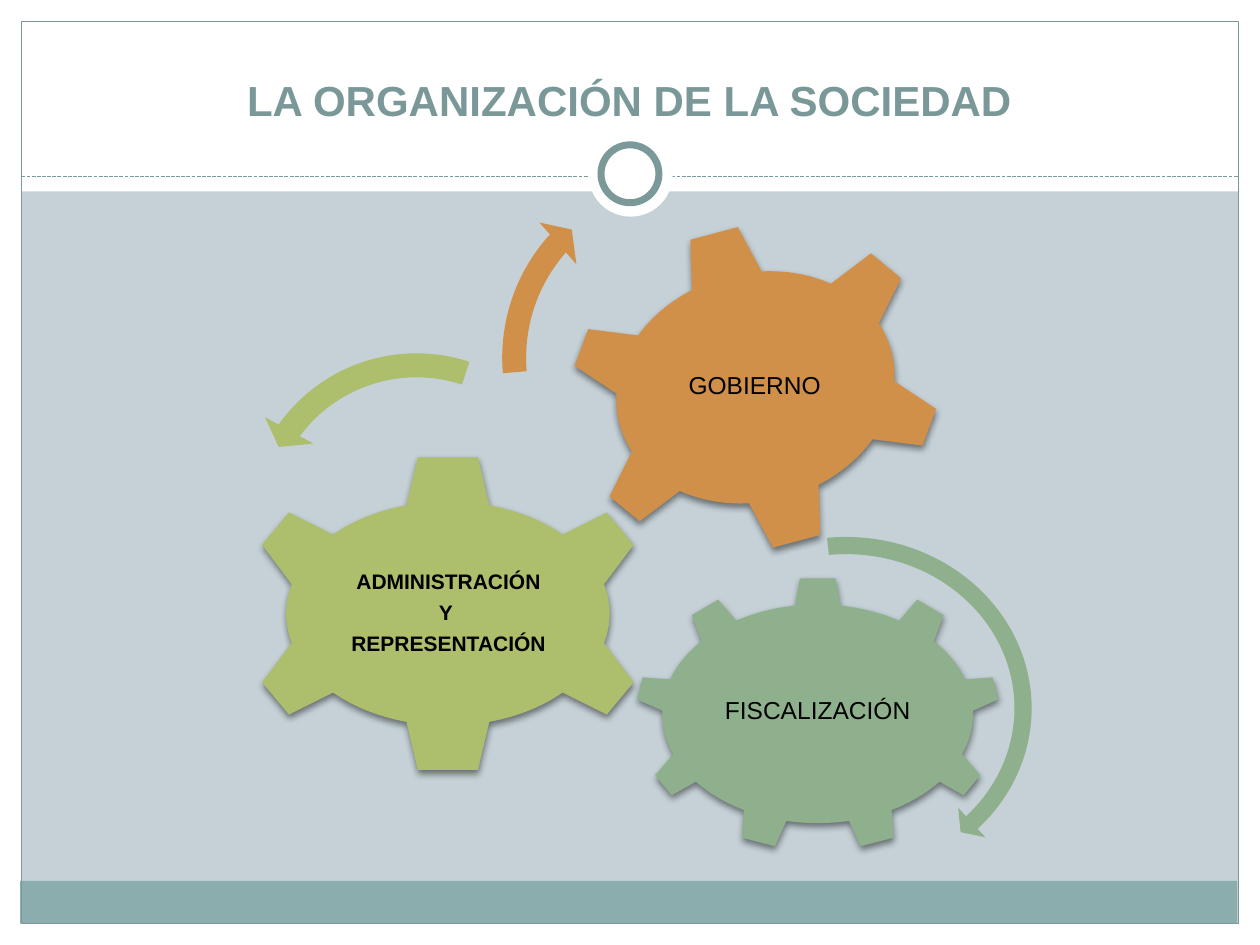
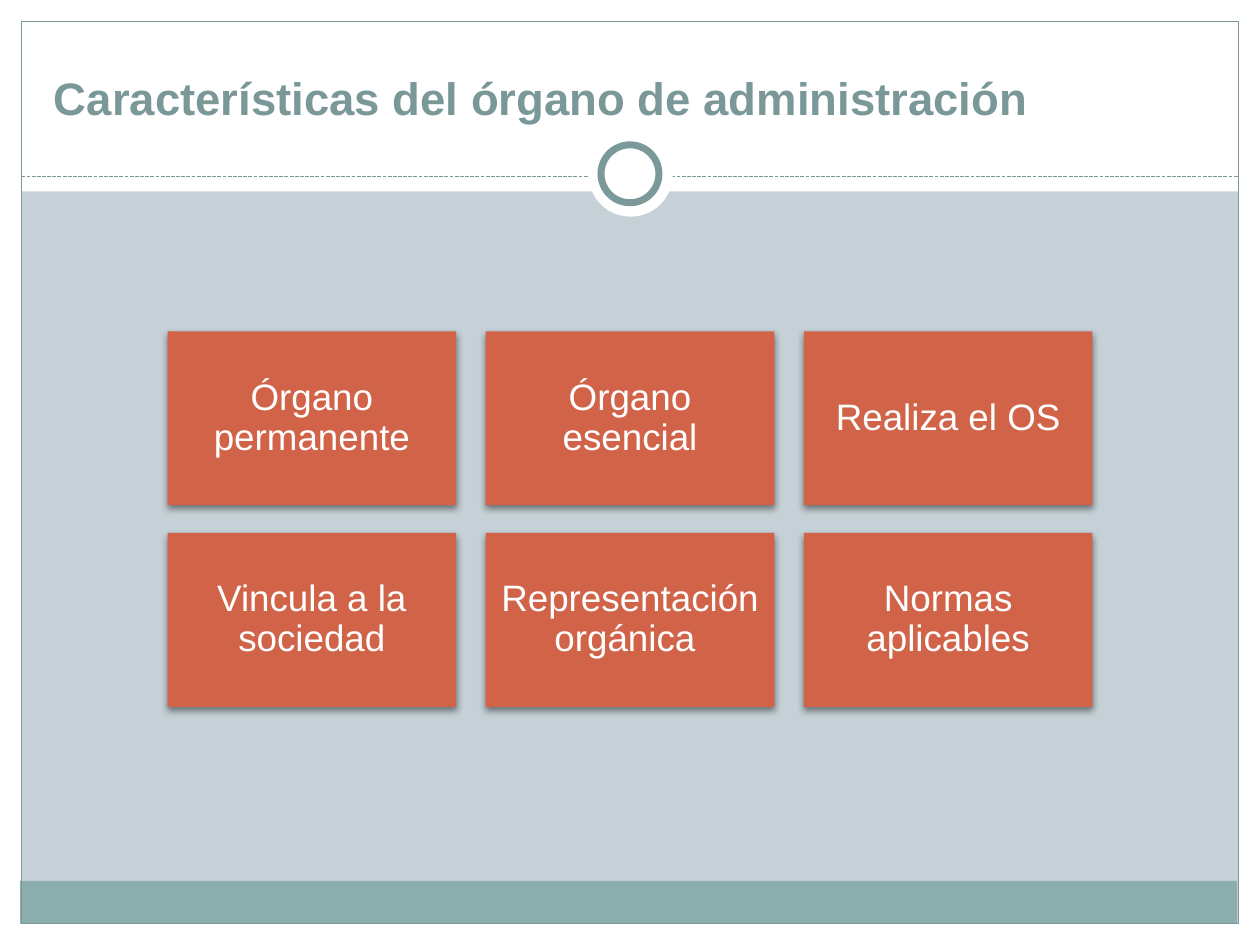
from dataclasses import dataclass
from typing import NamedTuple, Optional

from lxml.etree import SubElement
from pptx import Presentation
from pptx.dml.color import RGBColor
from pptx.enum.dml import MSO_LINE
from pptx.enum.shapes import MSO_CONNECTOR, MSO_SHAPE
from pptx.enum.text import MSO_ANCHOR, PP_ALIGN
from pptx.oxml.ns import qn
from pptx.shapes.autoshape import Shape
from pptx.slide import Slide
from pptx.util import Inches, Pt

SLIDE_WIDTH, SLIDE_HEIGHT = Inches(10), Inches(7.5)


@dataclass(frozen=True)
class Theme:
    font: str = "Arial"
    background: str = "C5D1D7"
    paper: str = "FFFFFF"
    rule: str = "7C999A"
    title: str = "7B9899"
    footer: str = "8CADAE"
    ink: str = "000000"
    sage: str = "8FB08C"
    olive: str = "ADBF6C"
    ochre: str = "D19049"
    brick: str = "D16349"
    diagram_title_size: int = 24
    list_title_size: int = 26
    card_size: int = 21
    gear_size: int = 14
    small_gear_size: int = 12
    rule_width: float = 0.75
    ring_width: float = 4
    title_inset: float = 7.2
    card_inset: float = 6.5
    gear_inset: float = 1.5


THEME = Theme()


class Box(NamedTuple):
    """Left, top, width and height in percent of the slide."""
    left: float
    top: float
    width: float
    height: float

    def emu(self) -> tuple[int, int, int, int]:
        return (across(self.left), down(self.top),
                across(self.width), down(self.height))


class TextStyle(NamedTuple):
    size: int
    color: str
    inset: float
    bold: bool = False
    align: PP_ALIGN = PP_ALIGN.CENTER
    anchor: MSO_ANCHOR = MSO_ANCHOR.MIDDLE
    line_spacing: float = 0.9
    space_after: float = 0.39  # share of the type size


class Gear(NamedTuple):
    kind: MSO_SHAPE
    box: Box
    color: str
    label_box: Box
    label: tuple[str, ...]
    size: int = THEME.gear_size
    bold: bool = False
    rotation: float = 0


class TurnArrow(NamedTuple):
    """Thickness and head are percent of the arrow's box; angles are degrees."""
    kind: MSO_SHAPE
    box: Box
    color: str
    thickness: float
    head_angle: float
    end_angle: float
    start_angle: float
    head: float
    rotation: float = 0


GEARS = (
    Gear(MSO_SHAPE.GEAR_9, Box(50.4, 61.07, 29, 28.93), THEME.sage,
         Box(55.7, 67.87, 18.4, 14.93), ("FISCALIZACIÓN",)),
    Gear(MSO_SHAPE.GEAR_6, Box(18.9, 48, 33.3, 33.87), THEME.olive,
         Box(26.5, 56.53, 18.2, 16.8), ("ADMINISTRACIÓN", "Y ", "REPRESENTACIÓN"),
         THEME.small_gear_size, bold=True),
    Gear(MSO_SHAPE.GEAR_6, Box(44.9, 23.73, 30.1, 34.53), THEME.ochre,
         Box(51.7, 30.93, 16.4, 20), ("GOBIERNO",), rotation=345),
)

TURN_ARROWS = (
    TurnArrow(MSO_SHAPE.CIRCULAR_ARROW, Box(51.5, 55.6, 31.3, 38.67), THEME.sage,
              4.7, 4.98, 42.28, 263.63, 5.5),
    TurnArrow(MSO_SHAPE.LEFT_CIRCULAR_ARROW, Box(18.4, 35.73, 29.3, 39.07), THEME.olive,
              6.5, 7.17, 174.82, 247.3, 7.5, rotation=41),
    TurnArrow(MSO_SHAPE.CIRCULAR_ARROW, Box(38.6, 16.8, 31.6, 42.13), THEME.ochre,
              6, 6.57, 221.9, 175.14, 7),
)

TRAITS = (
    ("Órgano permanente", "Órgano esencial", "Realiza el OS"),
    ("Vincula a la sociedad", "Representación orgánica ", "Normas aplicables"),
)
FIRST_CARD = Box(13.3, 35.07, 22.9, 18.4)
CARD_COLUMN_STEP, CARD_ROW_STEP = 25.25, 21.33

TITLE_BOX = Box(3.3, 3.33, 93.3, 11.07)
MARGINS = (
    Box(0, 97.73, 100, 2.27),
    Box(0, 0, 100, 20.27),
    Box(0, 0, 1.7, 100),
    Box(98.3, 0, 1.7, 100),
)
FOOTER_BAND = Box(1.6, 93.2, 96.6, 4.53)
FRAME = Box(1.7, 2.27, 96.6, 95.47)
HEADER_RULE_TOP = 18.67
HALO = Box(46.7, 14, 6.7, 8.93)
RING = Box(47.7, 15.33, 4.6, 6.13)


def across(percent: float) -> int:
    return round(SLIDE_WIDTH * percent / 100)


def down(percent: float) -> int:
    return round(SLIDE_HEIGHT * percent / 100)


def rgb(color: str) -> RGBColor:
    return RGBColor.from_string(color)


def draw_shape(slide: Slide, kind: MSO_SHAPE, box: Box, fill: Optional[str] = None,
               line_width: float = 0, rotation: float = 0) -> Shape:
    shape = slide.shapes.add_shape(kind, *box.emu())
    shape.shadow.inherit = False
    shape.rotation = rotation
    if fill:
        shape.fill.solid()
        shape.fill.fore_color.rgb = rgb(fill)
    else:
        shape.fill.background()
    if line_width:
        shape.line.color.rgb = rgb(THEME.rule)
        shape.line.width = Pt(line_width)
    else:
        shape.line.fill.background()
    return shape


def cast_shadow(shape: Shape) -> None:
    effects = shape.element.spPr.find(qn("a:effectLst"))
    shadow = SubElement(effects, qn("a:outerShdw"), blurRad=str(Pt(4)), dist=str(Pt(2)),
                        dir="5400000", rotWithShape="0")
    tint = SubElement(shadow, qn("a:srgbClr"), val=THEME.ink)
    SubElement(tint, qn("a:alpha"), val="45000")


def write(shape: Shape, lines: tuple[str, ...], style: TextStyle) -> None:
    frame = shape.text_frame
    frame.word_wrap = True
    frame.vertical_anchor = style.anchor
    frame.margin_left = frame.margin_right = Pt(style.inset)
    frame.margin_top = frame.margin_bottom = Pt(min(style.inset, THEME.card_inset))
    for index, line in enumerate(lines):
        paragraph = frame.add_paragraph() if index else frame.paragraphs[0]
        paragraph.alignment = style.align
        paragraph.line_spacing = style.line_spacing
        paragraph.space_after = Pt(style.size * style.space_after)
        run = paragraph.add_run()
        run.text = line
        run.font.name = THEME.font
        run.font.size = Pt(style.size)
        run.font.bold = style.bold
        run.font.color.rgb = rgb(style.color)


def draw_header_rule(slide: Slide) -> None:
    top = down(HEADER_RULE_TOP)
    rule = slide.shapes.add_connector(MSO_CONNECTOR.STRAIGHT, across(FRAME.left), top,
                                      across(FRAME.left + FRAME.width), top)
    rule.line.color.rgb = rgb(THEME.rule)
    rule.line.width = Pt(THEME.rule_width)
    rule.line.dash_style = MSO_LINE.SQUARE_DOT
    SubElement(rule.element.spPr, qn("a:effectLst"))


def start_slide(deck: Presentation, title: str, size: int, align: PP_ALIGN) -> Slide:
    """Add a blank slide with the shared frame, bands, ring and title."""
    slide = deck.slides.add_slide(deck.slide_layouts[6])
    slide.background.fill.solid()
    slide.background.fill.fore_color.rgb = rgb(THEME.background)
    for margin in MARGINS:
        draw_shape(slide, MSO_SHAPE.RECTANGLE, margin, THEME.paper)
    draw_shape(slide, MSO_SHAPE.RECTANGLE, FOOTER_BAND, THEME.footer)
    draw_shape(slide, MSO_SHAPE.RECTANGLE, FRAME, line_width=THEME.rule_width)
    draw_header_rule(slide)
    draw_shape(slide, MSO_SHAPE.OVAL, HALO, THEME.paper)
    draw_shape(slide, MSO_SHAPE.OVAL, RING, THEME.paper, THEME.ring_width)
    heading = slide.shapes.add_textbox(*TITLE_BOX.emu())
    write(heading, (title,), TextStyle(size, THEME.title, THEME.title_inset, True, align,
                                       MSO_ANCHOR.BOTTOM, 1.0, 0))
    return slide


def draw_gear(slide: Slide, gear: Gear) -> None:
    cast_shadow(draw_shape(slide, gear.kind, gear.box, gear.color, rotation=gear.rotation))
    label = slide.shapes.add_textbox(*gear.label_box.emu())
    write(label, gear.label, TextStyle(gear.size, THEME.ink, THEME.gear_inset, gear.bold))


def draw_turn_arrow(slide: Slide, arrow: TurnArrow) -> None:
    shape = draw_shape(slide, arrow.kind, arrow.box, arrow.color, rotation=arrow.rotation)
    # Angles are stored in 60000ths of a degree, adjustments in 100000ths.
    angles = (arrow.head_angle, arrow.end_angle, arrow.start_angle)
    values = (arrow.thickness / 100, *(angle * 0.6 for angle in angles), arrow.head / 100)
    for index, value in enumerate(values):
        shape.adjustments[index] = value


def draw_trait_card(slide: Slide, row: int, column: int, trait: str) -> None:
    box = FIRST_CARD._replace(left=FIRST_CARD.left + column * CARD_COLUMN_STEP,
                              top=FIRST_CARD.top + row * CARD_ROW_STEP)
    card = draw_shape(slide, MSO_SHAPE.RECTANGLE, box, THEME.brick)
    cast_shadow(card)
    write(card, (trait,), TextStyle(THEME.card_size, THEME.paper, THEME.card_inset))


def build_organization(deck: Presentation) -> None:
    slide = start_slide(deck, "LA ORGANIZACIÓN DE LA SOCIEDAD",
                        THEME.diagram_title_size, PP_ALIGN.CENTER)
    for gear in GEARS:
        draw_gear(slide, gear)
    for arrow in TURN_ARROWS:
        draw_turn_arrow(slide, arrow)


def build_traits(deck: Presentation) -> None:
    slide = start_slide(deck, "Características del órgano de administración",
                        THEME.list_title_size, PP_ALIGN.LEFT)
    for row, traits in enumerate(TRAITS):
        for column, trait in enumerate(traits):
            draw_trait_card(slide, row, column, trait)


def main() -> None:
    deck = Presentation()
    deck.slide_width, deck.slide_height = SLIDE_WIDTH, SLIDE_HEIGHT
    build_organization(deck)
    build_traits(deck)
    deck.save("out.pptx")


if __name__ == "__main__":
    main()
